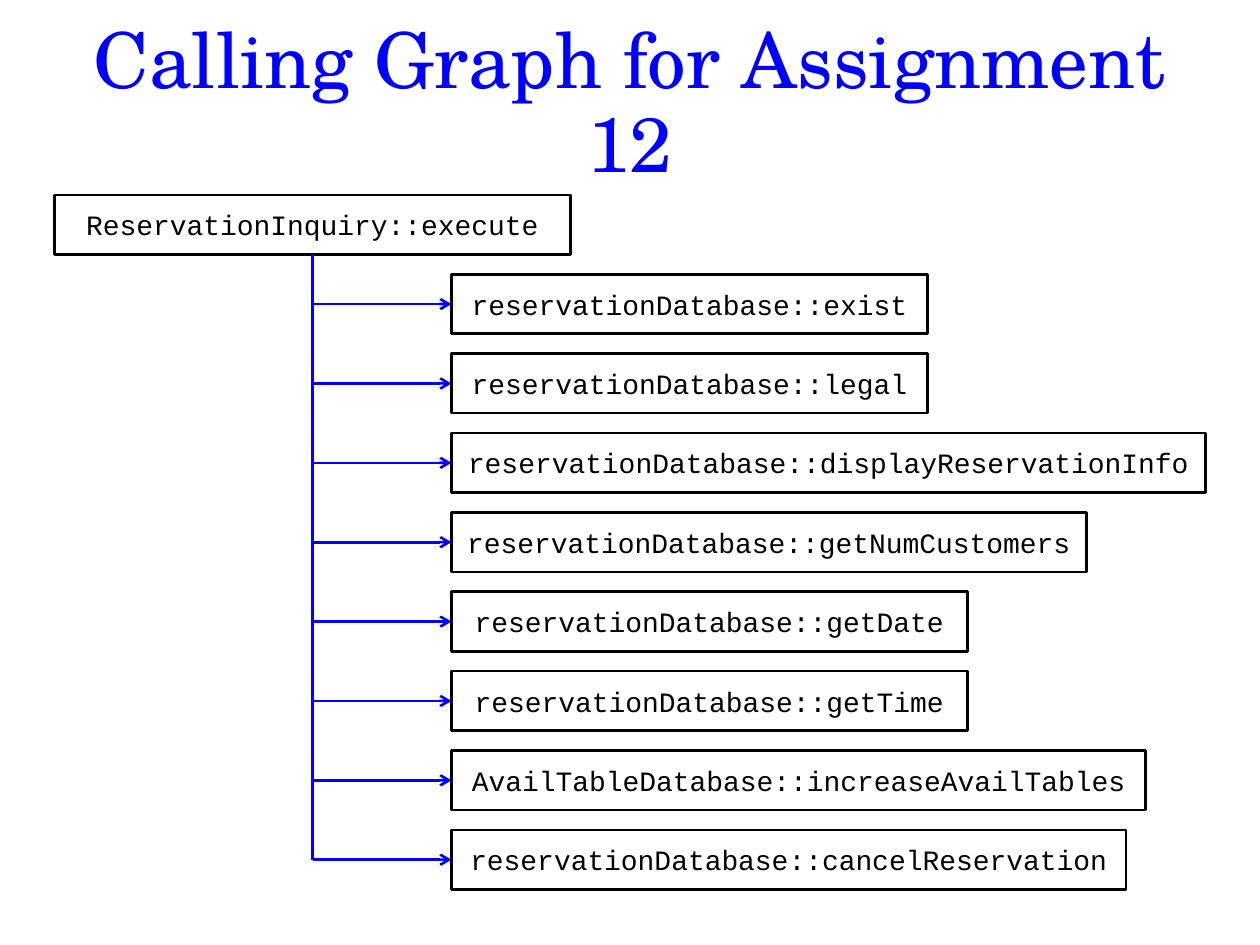
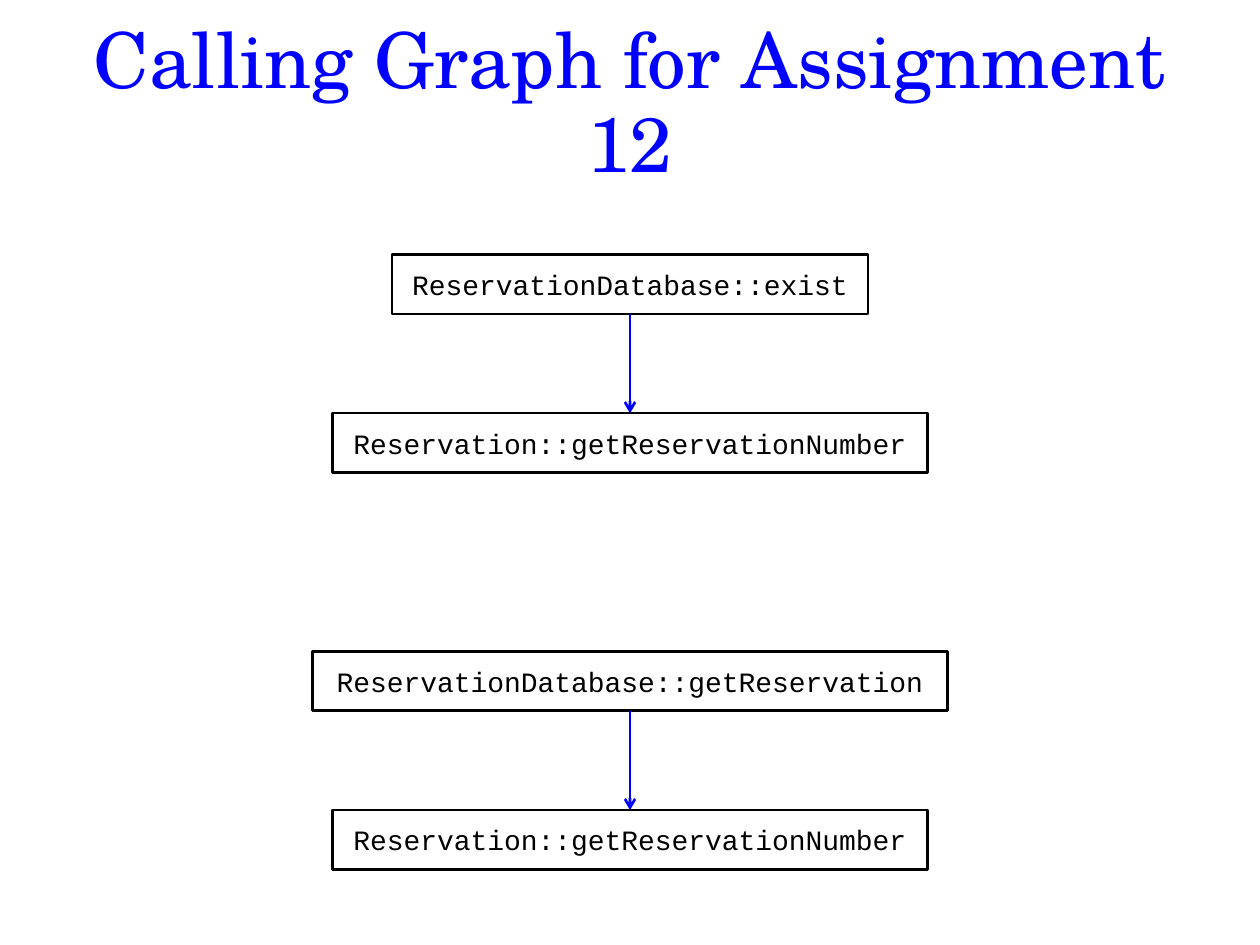
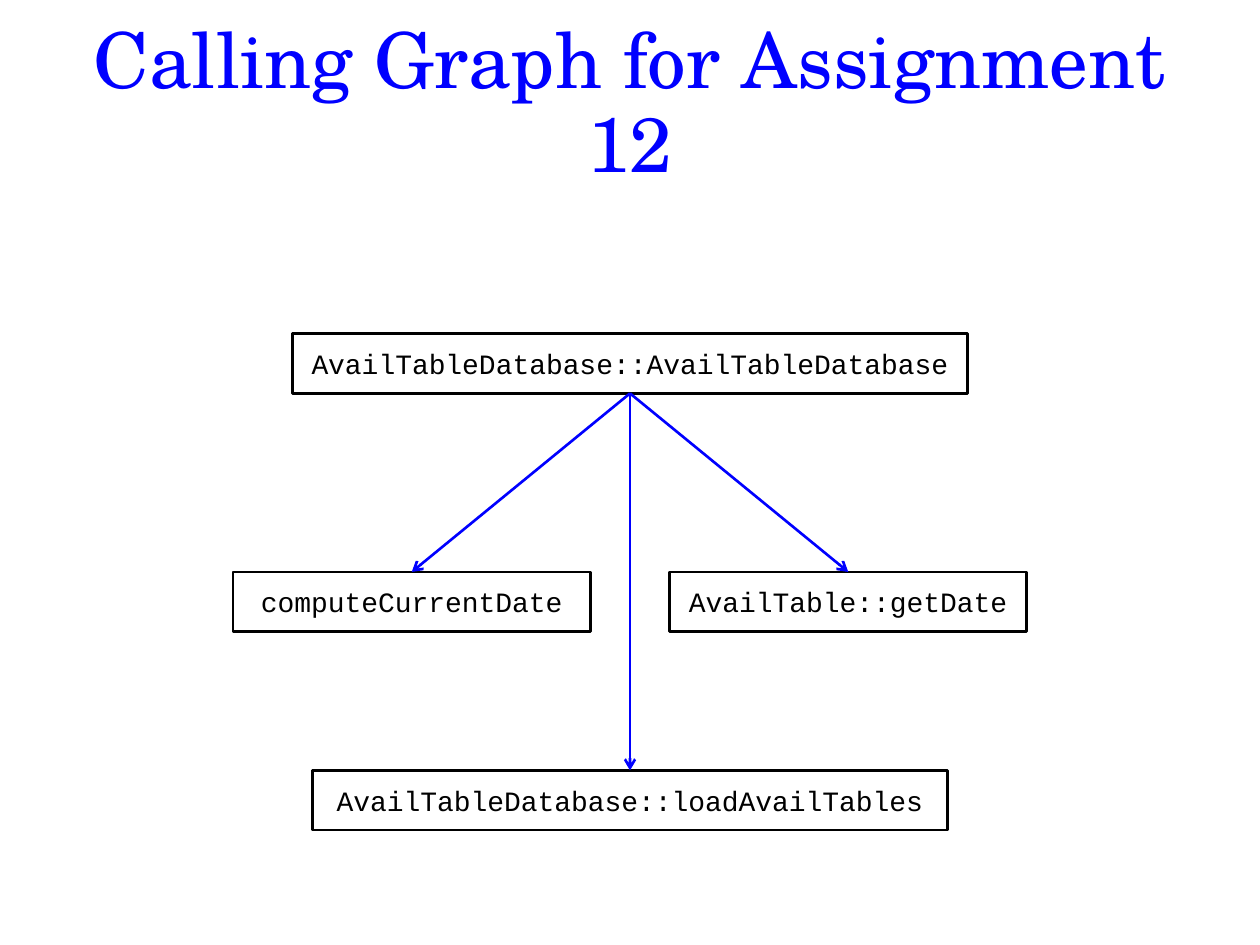
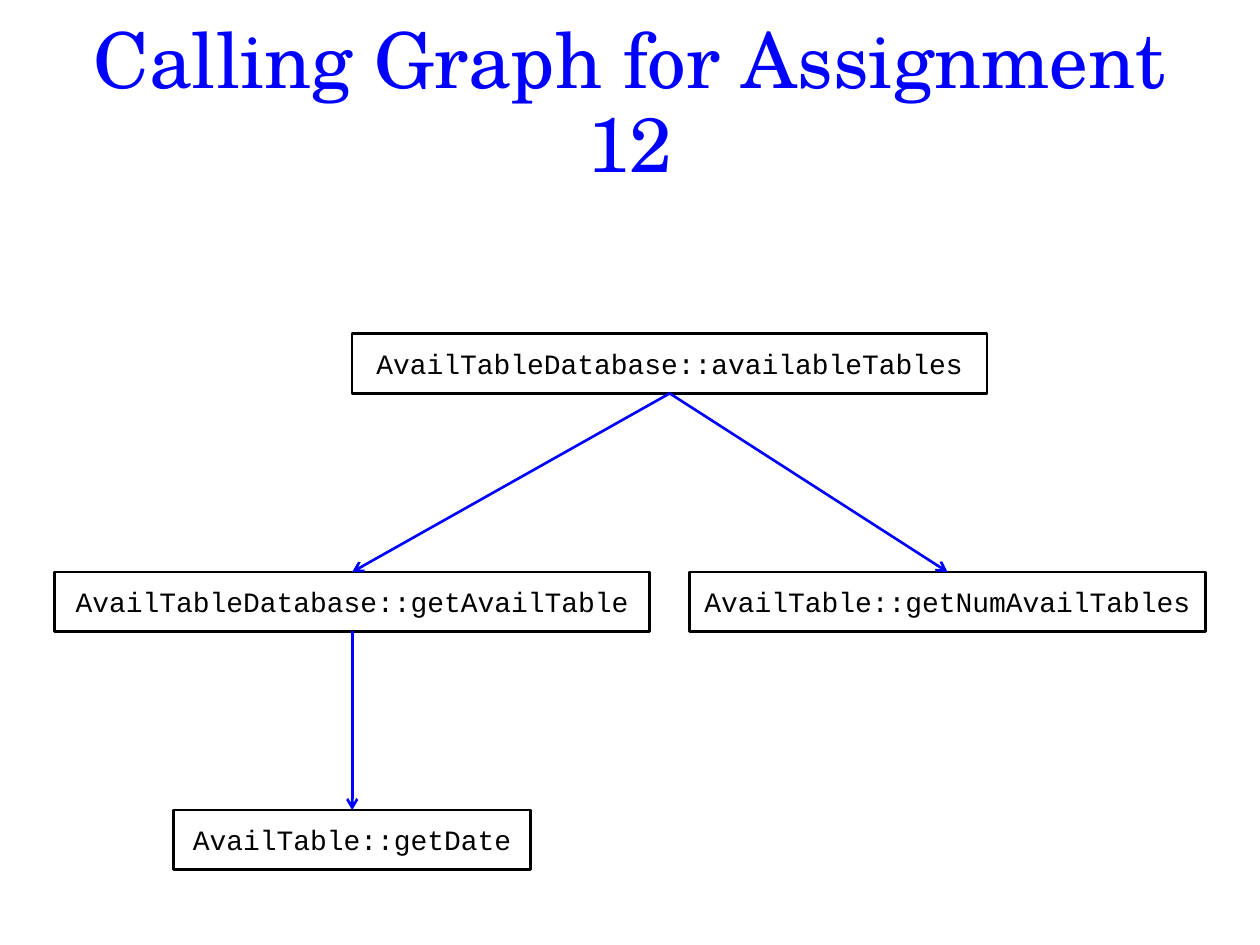
from collections import namedtuple
from dataclasses import dataclass

from lxml import etree
from pptx import Presentation
from pptx import util as u
from pptx.dml.color import RGBColor
from pptx.enum import shapes, text
from pptx.oxml import ns

TITLE = "Calling Graph for Assignment 12"

# Columns, rows and widths are counted in grid steps.
Routine = namedtuple("Routine", "name column row width")

INQUIRY = Routine("ReservationInquiry::execute", 0, 0, 26)
INQUIRY_CALLS = [
    ("reservationDatabase::exist", 24),
    ("reservationDatabase::legal", 24),
    ("reservationDatabase::displayReservationInfo", 38),
    ("reservationDatabase::getNumCustomers", 32),
    ("reservationDatabase::getDate", 26),
    ("reservationDatabase::getTime", 26),
    ("AvailTableDatabase::increaseAvailTables", 35),
    ("reservationDatabase::cancelReservation", 34),
]
CALLEE_COLUMN, CALLEE_PITCH = 20, 4

# Each graph: its routines, then (caller, callee) positions in that list.
GRAPHS = [
    ([Routine("ReservationDatabase::exist", 17, 3, 24),
      Routine("Reservation::getReservationNumber", 14, 11, 30),
      Routine("ReservationDatabase::getReservation", 13, 23, 32),
      Routine("Reservation::getReservationNumber", 14, 31, 30)],
     [(0, 1), (2, 3)]),
    ([Routine("AvailTableDatabase::AvailTableDatabase", 12, 7, 34),
      Routine("computeCurrentDate", 9, 19, 18),
      Routine("AvailTable::getDate", 31, 19, 18),
      Routine("AvailTableDatabase::loadAvailTables", 13, 29, 32)],
     [(0, 1), (0, 2), (0, 3)]),
    ([Routine("AvailTableDatabase::availableTables", 15, 7, 32),
      Routine("AvailTableDatabase::getAvailTable", 0, 19, 30),
      Routine("AvailTable::getNumAvailTables", 32, 19, 26),
      Routine("AvailTable::getDate", 6, 31, 18)],
     [(0, 1), (0, 2), (1, 3)]),
]


@dataclass(frozen=True)
class Theme:
    accent: RGBColor = RGBColor(0x00, 0x00, 0xFF)
    ink: RGBColor = RGBColor(0x00, 0x00, 0x00)
    paper: RGBColor = RGBColor(0xFF, 0xFF, 0xFF)
    title_font: str = "TeX Gyre Schola"
    code_font: str = "Courier New"
    title_size: u.Pt = u.Pt(44)
    code_size: u.Pt = u.Pt(16)
    stroke: u.Pt = u.Pt(1.5)


THEME = Theme()
STEP = u.Cm(0.4)
LEFT, TOP = u.Cm(1.1), u.Cm(3.93)
BOX_HEIGHT = 3 * STEP
TITLE_AREA = (LEFT, u.Cm(0.73), u.Cm(23.2), u.Cm(2.8))


def write(frame, content, font, size, color):
    frame.text = content
    frame.vertical_anchor = text.MSO_ANCHOR.MIDDLE
    line = frame.paragraphs[0]
    line.alignment = text.PP_ALIGN.CENTER
    style = line.runs[0].font
    style.name, style.size = font, size
    style.color.rgb = color
    return line


def add_graph_slide(deck):
    slide = deck.slides.add_slide(deck.slide_layouts[6])
    frame = slide.shapes.add_textbox(*TITLE_AREA).text_frame
    frame.word_wrap = True
    heading = write(frame, TITLE, THEME.title_font, THEME.title_size, THEME.accent)
    heading.line_spacing = 0.9
    return slide


def add_routine(slide, routine):
    box = slide.shapes.add_shape(
        shapes.MSO_SHAPE.RECTANGLE,
        LEFT + routine.column * STEP, TOP + routine.row * STEP,
        routine.width * STEP, BOX_HEIGHT)
    box.shadow.inherit = False
    box.fill.solid()
    box.fill.fore_color.rgb = THEME.paper
    box.line.color.rgb = THEME.ink
    box.line.width = THEME.stroke
    write(box.text_frame, routine.name, THEME.code_font, THEME.code_size, THEME.ink)
    return box


def top_middle(box):
    return box.left + box.width // 2, box.top


def bottom_middle(box):
    return box.left + box.width // 2, box.top + box.height


def left_middle(box):
    return box.left, box.top + box.height // 2


def add_line(slide, start, end, arrow=True):
    link = slide.shapes.add_connector(shapes.MSO_CONNECTOR.STRAIGHT, *start, *end)
    link.line.color.rgb = THEME.accent
    link.line.width = THEME.stroke
    if arrow:
        etree.SubElement(link.line._get_or_add_ln(), ns.qn("a:tailEnd"), type="arrow")
    etree.SubElement(link._element.spPr, ns.qn("a:effectLst"))


def add_inquiry_slide(deck):
    """One caller with a trunk line that branches to every callee."""
    slide = add_graph_slide(deck)
    trunk_x, trunk_top = bottom_middle(add_routine(slide, INQUIRY))
    for order, (name, width) in enumerate(INQUIRY_CALLS, start=1):
        callee = add_routine(
            slide, Routine(name, CALLEE_COLUMN, order * CALLEE_PITCH, width))
        entry = left_middle(callee)
        add_line(slide, (trunk_x, entry[1]), entry)
    add_line(slide, (trunk_x, trunk_top), (trunk_x, entry[1]), arrow=False)


def add_call_slide(deck, routines, calls):
    slide = add_graph_slide(deck)
    boxes = [add_routine(slide, routine) for routine in routines]
    for caller, callee in calls:
        add_line(slide, bottom_middle(boxes[caller]), top_middle(boxes[callee]))


def main():
    deck = Presentation()
    deck.slide_width, deck.slide_height = u.Cm(25.4), u.Cm(19.05)
    add_inquiry_slide(deck)
    for routines, calls in GRAPHS:
        add_call_slide(deck, routines, calls)
    deck.save("out.pptx")


if __name__ == "__main__":
    main()
